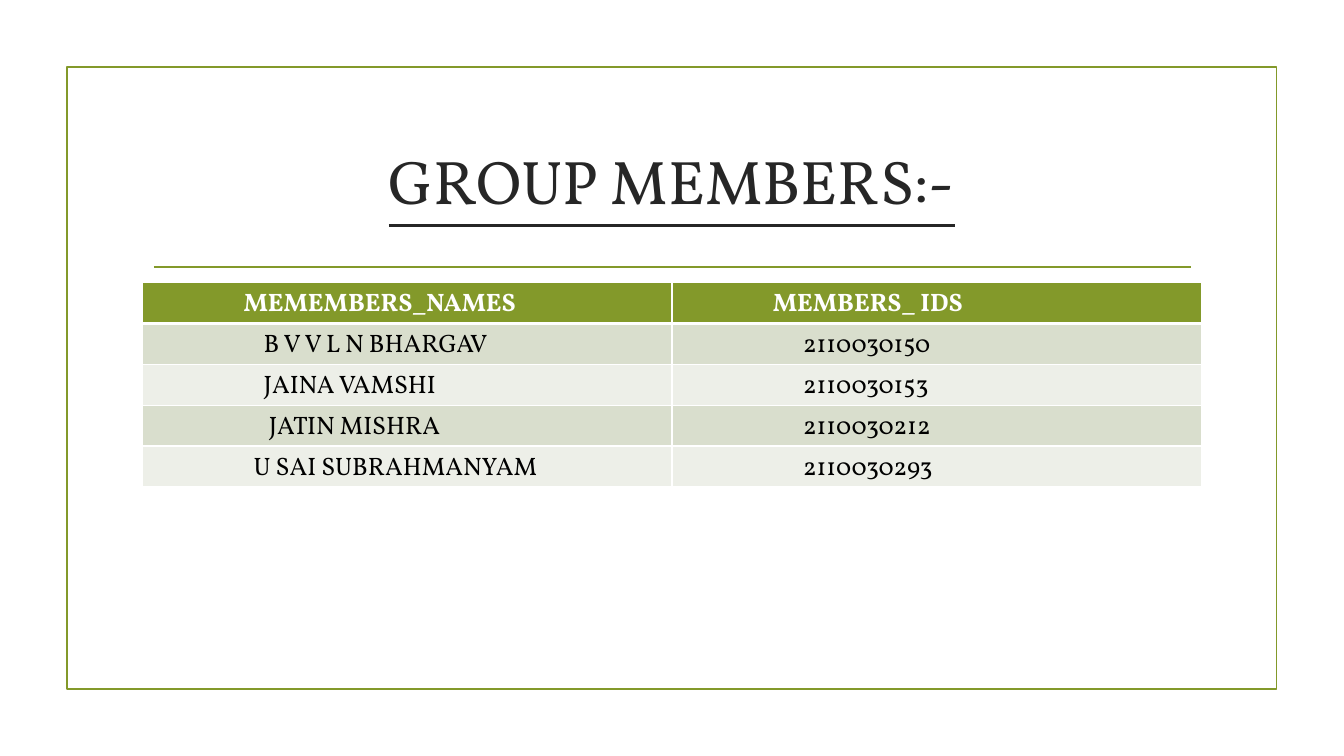
from lxml.etree import SubElement
from pptx import Presentation
from pptx.dml.color import RGBColor
from pptx.enum.shapes import MSO_CONNECTOR as Connector, MSO_SHAPE as Shape
from pptx.enum.text import MSO_ANCHOR as Anchor, PP_ALIGN as Align
from pptx.oxml.ns import qn
from pptx.util import Pt

COLORS = {
    "green": "83992A",
    "title": "262626",
    "white": "FFFFFF",
    "black": "000000",
    "dark_band": "D9DECD",
    "light_band": "EDEFE8",
}
FONT = "Vollkorn"
COLUMN_WIDTH = 378
ROW_HEIGHT = 29.2

# Each cell is its text and its left indent in points.
MEMBERS = [
    [("MEMEMBERS_NAMES", 72), ("MEMBERS_ IDS", 72)],
    [("B V V L N BHARGAV", 86.4), ("2110030150", 93.6)],
    [("JAINA VAMSHI", 86.4), ("2110030153", 93.6)],
    [("JATIN MISHRA", 90), ("2110030212", 93.6)],
    [("U SAI SUBRAHMANYAM", 79.2), ("2110030293", 93.6)],
]


def color(name):
    return RGBColor.from_string(COLORS[name])


def write(frame, text, size=18, ink="black", bold=False, underline=False, align=Align.LEFT):
    frame.word_wrap = True
    paragraph = frame.paragraphs[0]
    paragraph.alignment = align
    run = paragraph.add_run()
    run.text = text
    run.font.name = FONT
    run.font.size = Pt(size)
    run.font.bold = bold
    run.font.underline = underline
    run.font.color.rgb = color(ink)


def add_frame(slide, left, top, width, height):
    frame = slide.shapes.add_shape(Shape.RECTANGLE, Pt(left), Pt(top), Pt(width), Pt(height))
    frame.shadow.inherit = False
    frame.fill.background()
    frame.line.color.rgb = color("green")
    frame.line.width = Pt(1.25)


def add_rule(slide, left, right, y):
    rule = slide.shapes.add_connector(Connector.STRAIGHT, Pt(left), Pt(y), Pt(right), Pt(y))
    rule.line.color.rgb = color("green")
    rule.line.width = Pt(1.25)
    SubElement(rule._element.spPr, qn("a:effectLst"))


def add_title(slide, text, left, top, width, height):
    title = slide.shapes.add_textbox(Pt(left), Pt(top), Pt(width), Pt(height))
    title.text_frame.vertical_anchor = Anchor.MIDDLE
    write(title.text_frame, text, size=44, ink="title", underline=True, align=Align.CENTER)


def set_borders(cell, bottom):
    """Draw white cell borders, 1 pt except for the given bottom width."""
    properties = cell._tc.get_or_add_tcPr()
    for index, (side, width) in enumerate([("L", 1), ("R", 1), ("T", 1), ("B", bottom)]):
        border = properties.makeelement(qn(f"a:ln{side}"), {"w": str(Pt(width))})
        fill = SubElement(border, qn("a:solidFill"))
        SubElement(fill, qn("a:srgbClr"), val=COLORS["white"])
        properties.insert(index, border)


def add_members_table(slide, rows, left, top):
    columns = len(rows[0])
    table = slide.shapes.add_table(
        len(rows), columns, Pt(left), Pt(top),
        Pt(columns * COLUMN_WIDTH), Pt(len(rows) * ROW_HEIGHT),
    ).table
    for column in table.columns:
        column.width = Pt(COLUMN_WIDTH)
    for r, row in enumerate(rows):
        table.rows[r].height = Pt(ROW_HEIGHT)
        header = r == 0
        band = "green" if header else "dark_band" if r % 2 else "light_band"
        for c, (text, indent) in enumerate(row):
            cell = table.cell(r, c)
            cell.margin_left = Pt(indent)
            cell.fill.solid()
            cell.fill.fore_color.rgb = color(band)
            # The first body row shares the thick edge below the header.
            set_borders(cell, bottom=3 if header else 1)
            write(cell.text_frame, text, ink="white" if header else "black", bold=header)


def main():
    deck = Presentation()
    deck.slide_width, deck.slide_height = Pt(960), Pt(540)
    slide = deck.slides.add_slide(deck.slide_layouts[6])
    add_frame(slide, 47.8, 48, 864, 444)
    add_rule(slide, 110, 850.5, 190.8)
    add_title(slide, "GROUP MEMBERS:-", 102, 77, 756, 103)
    add_members_table(slide, MEMBERS, 102, 201.8)
    deck.save("out.pptx")


if __name__ == "__main__":
    main()
